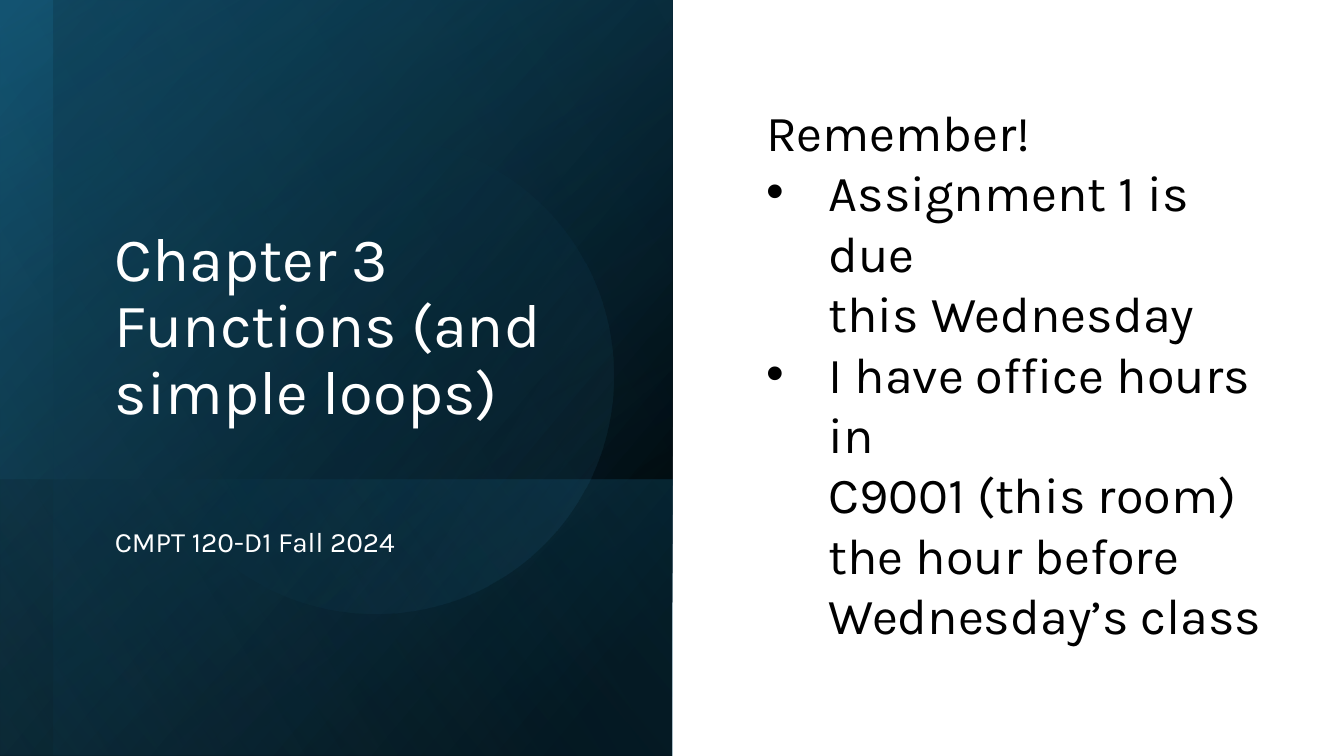
import pptx
import pptx.util
import pptx.dml.color
import pptx.enum.shapes
import pptx.enum.text
import pptx.oxml.ns
from lxml import etree

Inches, Pt = pptx.util.Inches, pptx.util.Pt
RGB = pptx.dml.color.RGBColor
SHAPE = pptx.enum.shapes.MSO_SHAPE
ANCHOR = pptx.enum.text.MSO_ANCHOR
qn = pptx.oxml.ns.qn

COLORS = {"black": "000000", "white": "FFFFFF", "deep": "104862",
          "teal": "156082", "sky": "46B1E1", "navy": "0B3041"}
FONT = "Karla"


def add_layer(s, box, stops, angle, kind=SHAPE.RECTANGLE, rotation=0, flip=False):
    """Add a gradient shape; each stop is (position %, colour, opacity %)."""
    sp = s.shapes.add_shape(kind, *map(Inches, box))
    sp.shadow.inherit = False
    sp.line.fill.background()
    sp.rotation = rotation
    if flip:
        sp._element.spPr.find(qn("a:xfrm")).set("flipH", "1")
    sp.fill.gradient()
    sp.fill.gradient_angle = 360 - angle
    for stop, (position, color, _) in zip(sp.fill.gradient_stops, stops):
        stop.position = position / 100
        stop.color.rgb = RGB.from_string(COLORS[color])
    for clr, (_, _, opacity) in zip(sp._element.spPr.iter(qn("a:srgbClr")), stops):
        if opacity < 100:
            etree.SubElement(clr, qn("a:alpha")).set("val", str(opacity * 1000))


def add_text(s, box, paragraphs, size, color, wrap=True):
    tf = s.shapes.add_textbox(*map(Inches, box)).text_frame
    tf.word_wrap = wrap
    for i, text in enumerate(paragraphs):
        p = tf.paragraphs[0] if i == 0 else tf.add_paragraph()
        p.text = text
        for r in p.runs:
            r.font.name = FONT
            r.font.size = Pt(size)
            r.font.color.rgb = RGB.from_string(COLORS[color])
    return tf


def add_backdrop(s, x, y, w, h):
    def turned(left, top, width, height, stops, angle):
        """Add a mirrored quarter-turn layer that covers the given area."""
        box = (x + left + (width - height) / 2, y + top + (height - width) / 2,
               height, width)
        add_layer(s, box, stops, angle, rotation=90, flip=True)

    turned(0, 0, w, h, [(8, "black", 100), (100, "deep", 100)], 50)
    turned(0, 0, w, 6.94, [(0, "black", 0), (99, "teal", 46)], 30)
    turned(0, 4.76, w, 2.74, [(2, "teal", 29), (100, "black", 30)], 130)
    add_layer(s, (x + 1.36, y + 1.37, 4.72, 4.72),
              [(39, "teal", 0), (100, "sky", 15)], 290, SHAPE.OVAL, 101.6)
    turned(0, 0, w, h, [(0, "black", 0), (99, "sky", 11)], 120)
    add_layer(s, (x + 0.53, y, w - 0.53, h),
              [(21, "deep", 6), (99, "navy", 33)], 230)


def add_heading(s, x, y, w):
    title = add_text(s, (x, y, w, 3.79),
                     ["Chapter 3\nFunctions (and simple loops)"], 44, "white")
    title.vertical_anchor = ANCHOR.BOTTOM
    course = add_text(s, (x, y + 4.69, w, 1.39), ["CMPT 120-D1 Fall 2024"], 20, "white")
    course.paragraphs[0].space_before = Pt(10)
    for tf in (title, course):
        tf.paragraphs[0].line_spacing = 0.9


def add_reminders(s, x, y, w, h):
    tf = add_text(s, (x, y, w, h), [
        "Remember!",
        "Assignment 1 is due\nthis Wednesday",
        "I have office hours in\nC9001 (this room)\nthe hour before\nWednesday’s class",
    ], 36, "black", wrap=False)
    tf.auto_size = pptx.enum.text.MSO_AUTO_SIZE.SHAPE_TO_FIT_TEXT
    for p in tf.paragraphs[1:]:
        pPr = p._p.get_or_add_pPr()
        pPr.set("marL", str(Inches(0.62)))
        pPr.set("indent", str(-Inches(0.62)))
        etree.SubElement(pPr, qn("a:buFont")).set("typeface", "Arial")
        etree.SubElement(pPr, qn("a:buChar")).set("char", "•")


def main():
    prs = pptx.Presentation()
    prs.slide_width, prs.slide_height = Inches(13.33), Inches(7.5)
    s = prs.slides.add_slide(prs.slide_layouts[6])
    add_backdrop(s, 0, 0, 6.67, 7.5)
    add_heading(s, 1.04, 0.5, 4.92)
    add_reminders(s, 7.5, 0.95, 5.3, 4.34)
    prs.save("out.pptx")


if __name__ == "__main__":
    main()
